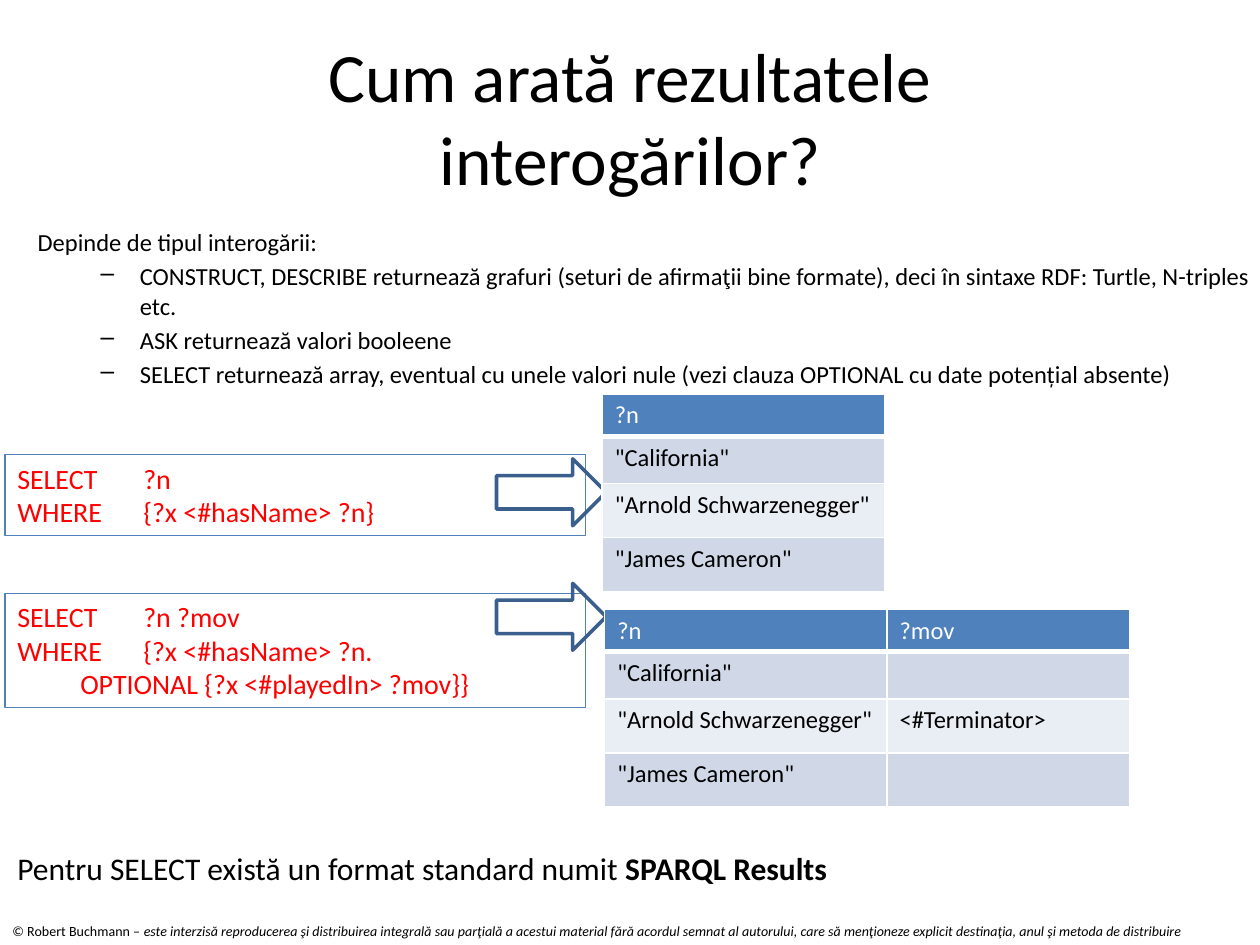
"""Build a slide on what SPARQL query results look like."""
from lxml.etree import SubElement
from pptx import Presentation
from pptx.dml.color import RGBColor
from pptx.enum.shapes import MSO_SHAPE
from pptx.enum.text import MSO_ANCHOR, PP_ALIGN
from pptx.oxml.ns import qn
from pptx.util import Cm, Pt

BLACK, WHITE, RED, BLUE, NAVY = "000000", "FFFFFF", "FF0000", "4F81BD", "3A5F8C"
BANDS = ("D0D8E8", "E9EDF4")


def color(hex_text):
    return RGBColor.from_string(hex_text)


def write(paragraph, text, size=14, ink=BLACK, bold=False, italic=False):
    for index, line in enumerate(text.split("\n")):
        if index:
            paragraph.add_line_break()
        run = paragraph.add_run()
        run.text = line
        font = run.font
        font.name, font.size = "Calibri", Pt(size)
        font.bold, font.italic = bold, italic
        font.color.rgb = color(ink)


class QuerySlide:
    def __init__(self, slide):
        self.slide = slide

    def text(self, box, anchor=MSO_ANCHOR.TOP, align=PP_ALIGN.LEFT):
        frame = self.slide.shapes.add_textbox(*map(Cm, box)).text_frame
        frame.word_wrap = True
        frame.vertical_anchor = anchor
        frame.paragraphs[0].alignment = align
        return frame

    def outline(self, preset, box, ink, width):
        shape = self.slide.shapes.add_shape(preset, *map(Cm, box))
        shape.shadow.inherit = False
        shape.fill.background()
        shape.line.color.rgb = color(ink)
        shape.line.width = Pt(width)
        return shape

    def query(self, top, height, lines):
        shape = self.outline(MSO_SHAPE.RECTANGLE, (0.1, top, 11.71, height), BLUE, 0.75)
        frame = shape.text_frame
        frame.vertical_anchor = MSO_ANCHOR.TOP
        for index, line in enumerate(lines):
            paragraph = frame.add_paragraph() if index else frame.paragraphs[0]
            paragraph.alignment = PP_ALIGN.LEFT
            write(paragraph, line, size=16, ink=RED)

    def arrow(self, top):
        self.outline(MSO_SHAPE.RIGHT_ARROW, (10.01, top, 2.21, 1.35), NAVY, 2)

    def bullet(self, frame, text):
        paragraph = frame.add_paragraph()
        properties = paragraph._p.get_or_add_pPr()
        properties.set("marL", str(Cm(2.06)))
        properties.set("indent", str(Cm(-0.79)))
        SubElement(properties, qn("a:buChar"), char="–")
        paragraph.space_before = Pt(2.8)
        write(paragraph, text)

    def results(self, left, top, widths, rows):
        heights = (0.84, 0.95, 1.09, 1.09)
        table = self.slide.shapes.add_table(
            len(rows), len(widths), Cm(left), Cm(top), Cm(sum(widths)), Cm(sum(heights))
        ).table
        for column, width in zip(table.columns, widths):
            column.width = Cm(width)
        for row_index, (row, height, values) in enumerate(zip(table.rows, heights, rows)):
            row.height = Cm(height)
            for cell, value in zip(row.cells, values):
                self.result(cell, value, row_index)

    def result(self, cell, value, row_index):
        header = row_index == 0
        paragraph = cell.text_frame.paragraphs[0]
        if value:
            write(paragraph, value, ink=WHITE if header else BLACK)
        else:
            SubElement(paragraph._p, qn("a:endParaRPr"), sz="1400")
        cell.fill.solid()
        cell.fill.fore_color.rgb = color(BLUE if header else BANDS[(row_index - 1) % 2])
        properties = cell._tc.get_or_add_tcPr()
        for position, side in enumerate(("lnL", "lnR", "lnT", "lnB")):
            width = Pt(3 if header and side == "lnB" else 1)
            border = properties.makeelement(qn(f"a:{side}"), {"w": str(width)})
            SubElement(SubElement(border, qn("a:solidFill")), qn("a:srgbClr"), val=WHITE)
            properties.insert(position, border)


def main():
    presentation = Presentation()
    presentation.slide_width, presentation.slide_height = Cm(25.4), Cm(19.05)
    page = QuerySlide(presentation.slides.add_slide(presentation.slide_layouts[6]))

    copyright_line = page.text((0, 18.47, 25.43, 0.61)).paragraphs[0]
    write(copyright_line, "© Robert Buchmann – ", size=8)
    write(copyright_line, "este interzisă reproducerea şi distribuirea integrală sau parţială a acestui "
          "material fără acordul semnat al autorului, care să menţioneze explicit destinaţia, "
          "anul şi metoda de distribuire", size=8, italic=True)

    title = page.text((1.27, 0.76, 22.86, 3.18), MSO_ANCHOR.MIDDLE, PP_ALIGN.CENTER)
    write(title.paragraphs[0], "Cum arată rezultatele\ninterogărilor?", size=39.6)

    query_types = page.text((0.51, 4.45, 24.99, 12.57))
    write(query_types.paragraphs[0], "Depinde de tipul interogării:")
    for query_type in (
        "CONSTRUCT, DESCRIBE returnează grafuri (seturi de afirmaţii bine formate), "
        "deci în sintaxe RDF: Turtle, N-triples etc.",
        "ASK returnează valori booleene",
        "SELECT returnează array, eventual cu unele valori nule "
        "(vezi clauza OPTIONAL cu date potențial absente)",
    ):
        page.bullet(query_types, query_type)

    page.query(11.96, 2.31, ("SELECT \t?n ?mov", "WHERE \t{?x <#hasName> ?n.",
                             "\tOPTIONAL {?x <#playedIn> ?mov}}"))
    page.query(9.17, 1.63, ("SELECT \t?n", "WHERE \t{?x <#hasName> ?n}"))
    for top in (9.25, 11.76):
        page.arrow(top)

    conclusion = page.text((0.1, 17, 25.3, 1), align=PP_ALIGN.JUSTIFY).paragraphs[0]
    write(conclusion, "Pentru SELECT există un format standard numit ", size=18)
    write(conclusion, "SPARQL Results", size=18, bold=True)

    names = ("?n", '"California"', '"Arnold Schwarzenegger"', '"James Cameron"')
    movies = ("?mov", "", "<#Terminator>", "")
    page.results(12.19, 12.29, (5.69, 4.9), list(zip(names, movies)))
    page.results(12.14, 7.95, (5.69,), list(zip(names)))

    presentation.save("out.pptx")


if __name__ == "__main__":
    main()
